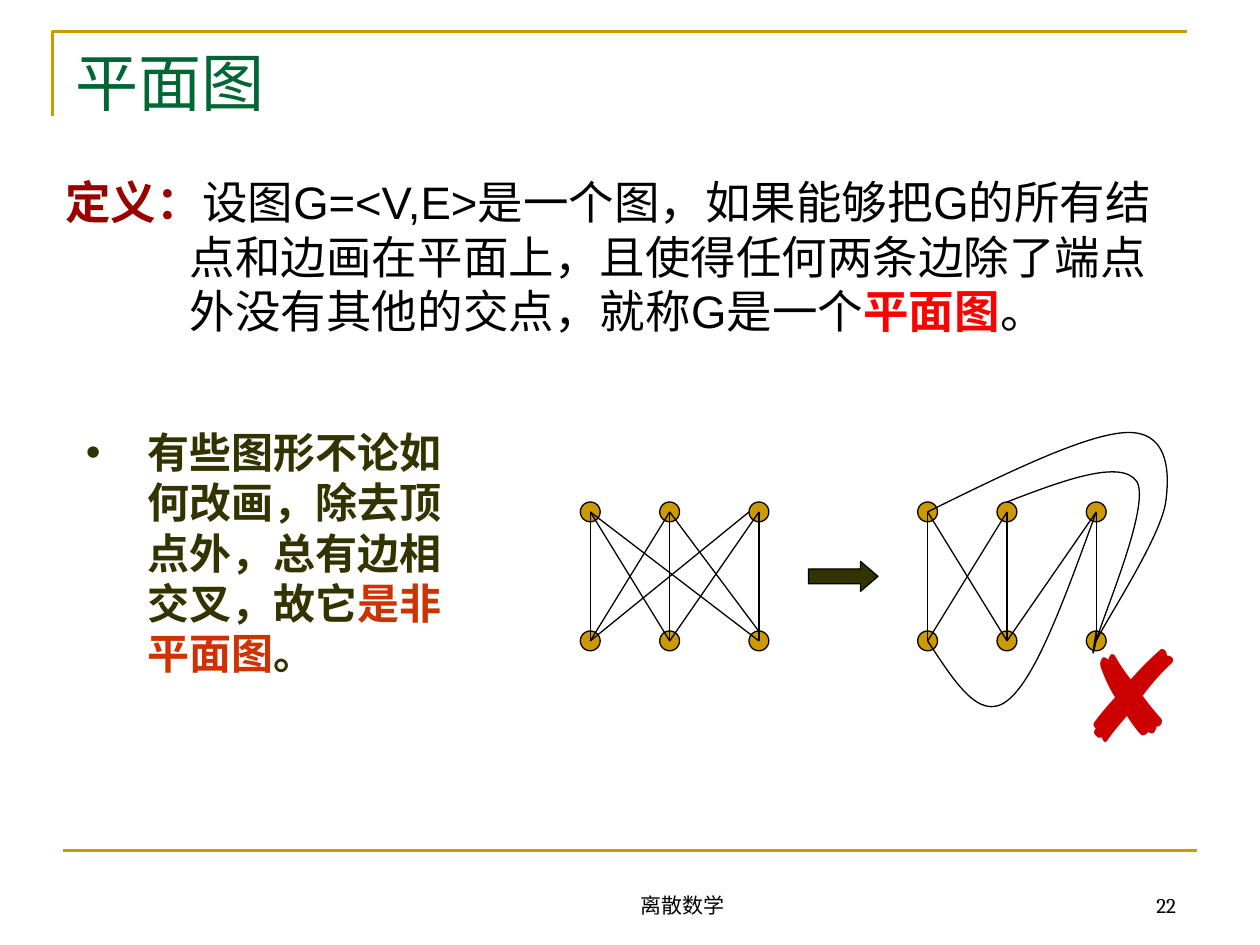
from itertools import product

from lxml import etree
from pptx import Presentation
from pptx.dml.color import RGBColor
from pptx.enum.shapes import MSO_CONNECTOR, MSO_SHAPE
from pptx.enum.text import MSO_ANCHOR, PP_ALIGN
from pptx.oxml.ns import qn
from pptx.util import Cm, Pt

LINE = MSO_CONNECTOR.STRAIGHT
OVAL = MSO_SHAPE.OVAL
ARROW = MSO_SHAPE.RIGHT_ARROW
BOTTOM = MSO_ANCHOR.BOTTOM
CENTER, RIGHT = PP_ALIGN.CENTER, PP_ALIGN.RIGHT

BLACK = RGBColor(0x00, 0x00, 0x00)
GOLD = RGBColor(0xCC, 0x99, 0x00)
GREEN = RGBColor(0x00, 0x66, 0x33)
OLIVE = RGBColor(0x33, 0x33, 0x00)
MAROON = RGBColor(0x99, 0x00, 0x00)
RED = RGBColor(0xFF, 0x00, 0x00)
RUST = RGBColor(0xCC, 0x33, 0x00)
CRIMSON = RGBColor(0xCC, 0x00, 0x00)

COLS = (0, 1.6, 3.4)
ROWS = (0, 2.6)
DOT = 0.4
ALL_EDGES = [(0, 3.4, 2.6), (0, 0, 2.6), (0, 1.6, 2.6),
             (1.6, 0, 2.6), (3.2, 0, 2.6), (1.6, 1.6, 2.6),
             (1.6, 3.4, 2.41), (3.4, 1.6, 2.6), (3.4, 3.4, 2.6)]
FLAT_EDGES = [(0, 0, 2.6), (0, 1.6, 2.6), (1.6, 0, 2.6),
              (1.6, 1.6, 2.6), (3.4, 1.6, 2.6), (3.4, 3.4, 2.6)]
CURVES = [
    [(1.6, -0.2), (2.74, -0.64), (3.91, -1.07), (4.22, -0.61),
     (4.5, -0.13), (3.53, 2.11), (3.4, 2.6),
     (3.28, 3.1), (3.35, 2.74), (3.4, 2.41)],
    [(0, 0), (1.6, -0.79), (3.2, -1.57), (4.01, -1.6),
     (4.8, -1.63), (4.9, -0.91), (4.8, -0.2),
     (4.7, 0.51), (3.63, 2.13), (3.4, 2.6)],
    [(3.4, 0), (2.79, 1.68), (2.18, 3.38), (1.6, 3.81),
     (1.04, 4.24), (0.53, 3.4), (0, 2.6)],
]


def put(obj, vals):
    for name, val in vals.items():
        setattr(obj, name, val)


def ink(line, color, width):
    line.color.rgb = color
    line.width = Pt(width)


def link(shapes, start, end, color=BLACK, width=0.75):
    line = shapes.add_connector(LINE, *map(Cm, start + end))
    ink(line.line, color, width)
    etree.SubElement(line._element.spPr, qn("a:effectLst"))


def trace(shapes, points, color=BLACK, width=0.75):
    spots = [(Cm(x), Cm(y)) for x, y in points]
    form = shapes.build_freeform(*spots[0])
    form.add_line_segments(spots[1:], close=False)
    shape = form.convert_to_shape()
    shape.shadow.inherit = False
    shape.fill.background()
    ink(shape.line, color, width)
    return shape


def bend(shape):
    legs = list(shape._element.iter(qn("a:lnTo")))
    for i in range(0, len(legs), 3):
        curve = etree.Element(qn("a:cubicBezTo"))
        legs[i].addprevious(curve)
        for leg in legs[i:i + 3]:
            curve.append(leg[0])
            leg.getparent().remove(leg)


def solid(shapes, kind, box, color):
    shape = shapes.add_shape(kind, *map(Cm, box))
    shape.shadow.inherit = False
    shape.fill.solid()
    shape.fill.fore_color.rgb = color
    ink(shape.line, BLACK, 0.75)
    return shape


def write(shapes, box, runs, font, frame=None, para=None, hang=0, mark=None):
    text = shapes.add_textbox(*map(Cm, box)).text_frame
    put(text, {"word_wrap": True, **(frame or {})})
    line = text.paragraphs[0]
    put(line, para or {})
    if hang:
        props = line._p.get_or_add_pPr()
        props.set("marL", str(Cm(hang)))
        props.set("indent", str(-Cm(hang)))
        if mark:
            etree.SubElement(props, qn("a:buFont"), typeface="Arial")
            etree.SubElement(props, qn("a:buChar"), char=mark)
    for words, color, bold in runs:
        run = line.add_run()
        run.text = words
        put(run.font, {**font, "bold": bold})
        run.font.color.rgb = color


def head(shapes, box):
    x, y, w, h = box
    trace(shapes, [(x, y + h), (x, y), (x + w, y)], GOLD, 1.5)
    write(shapes, (x + 0.21, y + 0.12, w, 1.98), [("平面图", GREEN, False)],
          {"name": "Cambria", "size": Pt(36)})


def define(shapes, box):
    runs = [
        ("定义：", MAROON, True),
        ("设图G=<V,E>是一个图，如果能够把G的所有结点和边画在平面上，"
         "且使得任何两条边除了端点外没有其他的交点，就称G是一个", BLACK, False),
        ("平面图", RED, True),
        ("。", BLACK, False),
    ]
    write(shapes, box, runs, {"name": "Arial", "size": Pt(26)},
          para={"space_before": Pt(5.2)}, hang=2.51)


def remark(shapes, box):
    runs = [
        ("有些图形不论如何改画，除去顶点外，总有边相交叉，故它", OLIVE, True),
        ("是非平面图", RUST, True),
        ("。", OLIVE, True),
    ]
    write(shapes, box, runs, {"name": "Arial", "size": Pt(24)},
          hang=1.24, mark="•")


def graph(shapes, spot, edges, curves=()):
    left, top = spot
    group = shapes.add_group_shape().shapes
    for y, x in product(ROWS, COLS):
        box = (left + x - DOT / 2, top + y - DOT / 2, DOT, DOT)
        solid(group, OVAL, box, GOLD)
    for start, end, drop in edges:
        link(group, (left + start, top), (left + end, top + drop))
    for curve in curves:
        bend(trace(group, [(left + x, top + y) for x, y in curve]))


def redraw(shapes, box):
    x, y = box[:2]
    graph(shapes, (x, y), ALL_EDGES)
    arrow = solid(shapes, ARROW, (x + 4.4, y + 1, 1.4, 0.6), OLIVE)
    arrow.adjustments[1] = 0.585
    graph(shapes, (x + 6.8, y), FLAT_EDGES, CURVES)
    write(shapes, (x + 9.59, y + 1.99, 3.05, 3.3), [("✘", CRIMSON, False)],
          {"name": "Noto Sans CJK JP", "size": Pt(72)}, {"word_wrap": False})


def foot(shapes, box):
    x, y, w, h = box
    link(shapes, (x, y), (x + w, y), GOLD, 1.5)
    for words, dx, wide, align in (("离散数学", 8.46, 8.05, CENTER),
                                   ("22", 19.9, 2.79, RIGHT)):
        write(shapes, (x + dx, y + 0.2, wide, h - 0.2),
              [(words, BLACK, False)], {"name": "Cambria", "size": Pt(12)},
              {"vertical_anchor": BOTTOM}, {"alignment": align})


def main():
    deck = Presentation()
    put(deck, {"slide_width": Cm(25.4), "slide_height": Cm(19.05)})
    shapes = deck.slides.add_slide(deck.slide_layouts[6]).shapes
    head(shapes, (1.06, 0.64, 22.86, 1.69))
    define(shapes, (1.07, 3.39, 22.86, 4.19))
    remark(shapes, (1.48, 8.47, 8.41, 5.33))
    redraw(shapes, (11.9, 10.32, 12.6, 5.3))
    foot(shapes, (1.27, 17.15, 22.86, 1.47))
    deck.save("out.pptx")


if __name__ == "__main__":
    main()
